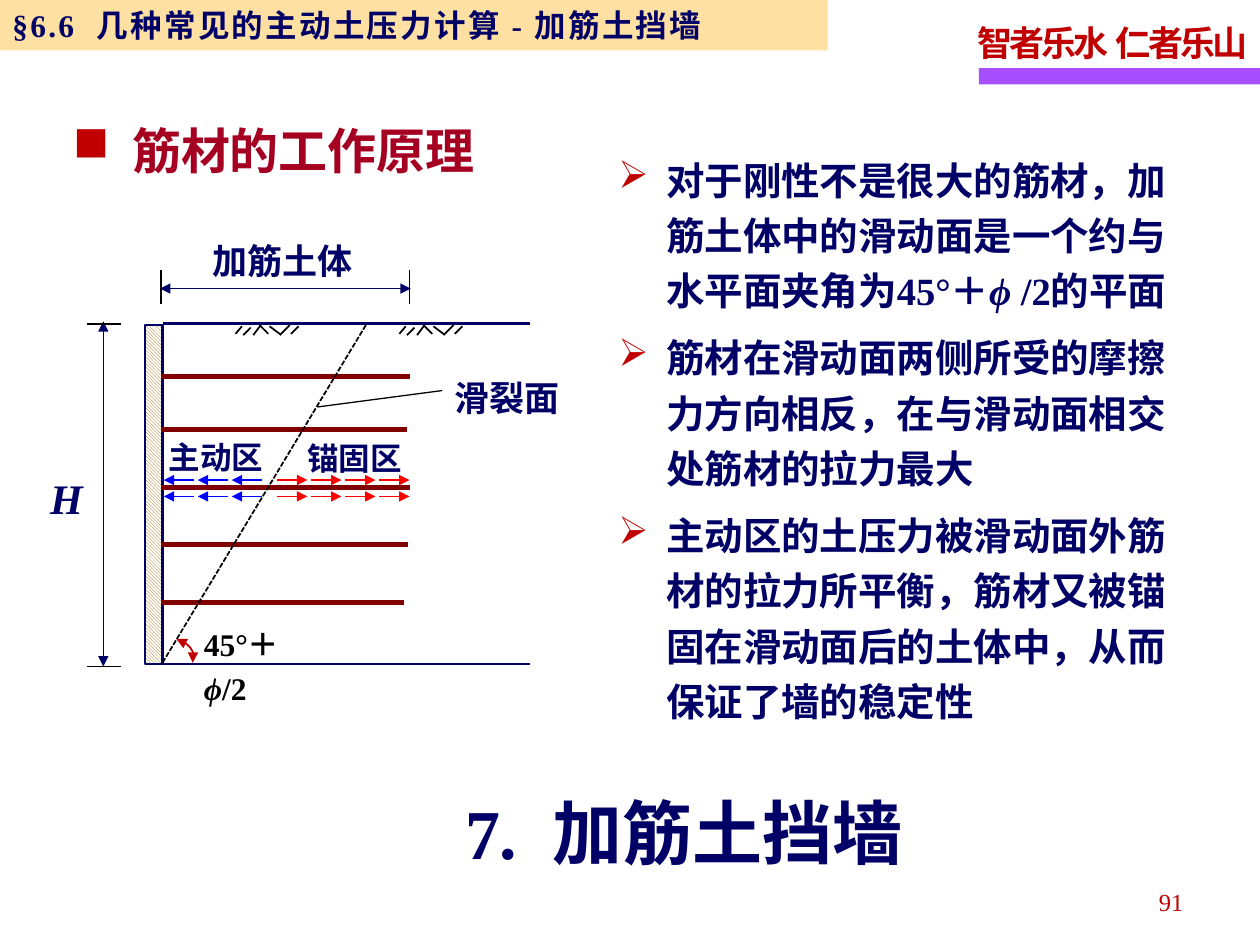
from lxml.etree import SubElement
from pptx import Presentation
from pptx.dml.color import RGBColor
from pptx.enum.dml import MSO_LINE, MSO_PATTERN
from pptx.enum.shapes import MSO_CONNECTOR, MSO_SHAPE
from pptx.enum.text import MSO_ANCHOR, PP_ALIGN
from pptx.oxml.ns import qn
from pptx.util import Inches, Pt

NAVY = RGBColor(0, 0, 0x66)
RED = RGBColor(0xC0, 0, 0)
CRIMSON = RGBColor(0xA5, 0, 0x21)
MAROON = RGBColor(0x80, 0, 0)
BLACK = RGBColor(0, 0, 0)
WHITE = RGBColor(0xFF, 0xFF, 0xFF)
BLUE = RGBColor(0, 0, 0xFF)
BRIGHT = RGBColor(0xFF, 0, 0)
PURPLE = RGBColor(0xA7, 0x4F, 0xFF)
SAND = RGBColor(0xFF, 0xCC, 0x66)
BROWN = RGBColor(0x99, 0x66, 0)
SERIF, SANS = "Times New Roman", "Noto Sans CJK SC"


def write(para, runs, size, color, face=SERIF, bold=True, gap=0):
    """Add (text, italic) runs; gap is the letter spacing in points."""
    for text, slant in runs:
        run = para.add_run()
        run.text = text
        style = {"size": Pt(size), "name": face, "bold": bold, "italic": slant}
        for key, value in style.items():
            setattr(run.font, key, value)
        run.font.color.rgb = color
        props = run.font._element
        SubElement(props, qn("a:ea")).set("typeface", SANS)
        if gap:
            props.set("spc", str(round(gap * 100)))


def bullet(para, mark, indent):
    props = para._p.get_or_add_pPr()
    props.set("marL", str(Inches(indent)))
    props.set("indent", str(-Inches(indent)))
    tint = SubElement(props, qn("a:buClr"))
    SubElement(tint, qn("a:srgbClr")).set("val", str(RED))
    SubElement(props, qn("a:buChar")).set("char", mark)


def label(slide, box, runs, size, color, wrap=True, mark=None, indent=0,
          form=None, **style):
    """Add a text box with one paragraph; a plain string makes one run."""
    frame = slide.shapes.add_textbox(*map(Inches, box)).text_frame
    frame.word_wrap = wrap
    para = frame.paragraphs[0]
    if mark:
        bullet(para, mark, indent)
    for key, value in ({"line_spacing": 1.15} | (form or {})).items():
        setattr(para, key, value)
    write(para, [(runs, False)] if isinstance(runs, str) else runs,
          size, color, **style)
    return frame


def rect(slide, box):
    shape = slide.shapes.add_shape(MSO_SHAPE.RECTANGLE, *map(Inches, box))
    shape.shadow.inherit = False
    shape.line.fill.background()
    return shape


def paint(shape, color, width, ends=()):
    """Set the outline, with arrowheads at the ends named."""
    shape.line.color.rgb = color
    shape.line.width = Pt(width)
    for end in ends:
        SubElement(shape.line._get_or_add_ln(), qn("a:" + end)).set("type", "triangle")


def line(slide, org, start, stop, color=BLACK, width=1, ends=(), dash=None):
    """Draw a line between two points measured from org."""
    spots = [Inches(a + b) for pt in (start, stop) for a, b in zip(org, pt)]
    link = slide.shapes.add_connector(MSO_CONNECTOR.STRAIGHT, *spots)
    if dash:
        link.line.dash_style = dash
    paint(link, color, width, ends)
    SubElement(link._element.spPr, qn("a:effectLst"))


def header(slide, box):
    x, y, w, h = box
    band = rect(slide, (x, y, 6.57, h))
    band.fill.solid()
    band.fill.fore_color.rgb = SAND
    tint = band._element.spPr.find(qn("a:solidFill"))[0]
    SubElement(tint, qn("a:alpha")).set("val", "60000")
    frame = band.text_frame
    frame.vertical_anchor = MSO_ANCHOR.MIDDLE
    frame.paragraphs[0].alignment = PP_ALIGN.LEFT
    write(frame.paragraphs[0], [("§6.6  几种常见的主动土压力计算 - 加筋土挡墙", False)],
          18, NAVY, gap=1.3)
    bar = rect(slide, (x + w - 2.23, y + 0.54, 2.23, 0.13))
    bar.fill.solid()
    bar.fill.fore_color.rgb = PURPLE
    label(slide, (x + w - 2.34, y + 0.07, 2.36, 0.49), "智者乐水  仁者乐山",
          20, RED, wrap=False, gap=-1.7)


def wall(slide, org):
    """Draw the facing, the ground lines and the slip plane."""
    x, y = org
    face = rect(slide, (x - 0.13, y + 0.01, 0.14, 2.69))
    face.fill.patterned()
    face.fill.pattern = MSO_PATTERN.LIGHT_DOWNWARD_DIAGONAL
    face.fill.fore_color.rgb = BROWN
    face.fill.back_color.rgb = WHITE
    paint(face, NAVY, 1.5)
    line(slide, org, (0.01, 0), (2.93, 0), NAVY, 1.5)
    line(slide, org, (-0.08, 2.7), (2.93, 2.7), NAVY, 1.5)
    for top, end in ((0.42, 1.97), (0.84, 1.95), (1.3, 1.97), (1.75, 1.96), (2.21, 1.93)):
        line(slide, org, (0, top), (end, top), MAROON, 3)
    line(slide, org, (0.01, 2.69), (1.63, 0), dash=MSO_LINE.SQUARE_DOT)


def ground(slide, org):
    """Draw one group of soil hatch strokes."""
    strokes = ((0.05, 0.01, 0, 0.07), (0.12, 0.02, 0.06, 0.08), (0.2, 0, 0.14, 0.08),
               (0.19, 0, 0.26, 0.07), (0.27, 0.01, 0.35, 0.07),
               (0.35, 0.08, 0.43, 0), (0.44, 0.07, 0.5, 0.01))
    for a, b, c, d in strokes:
        line(slide, org, (a, b), (c, d))


def forces(slide, org):
    """Draw friction arrows above and below the middle bar."""
    pitch, size = 0.27, 0.24
    for row in (1.24, 1.37):
        for i in range(4):
            left = 0.92 + i * pitch
            line(slide, org, (left, row), (left + size, row), BRIGHT, ends=["tailEnd"])
        for i in range(3):
            left = 0.02 + i * pitch
            line(slide, org, (left + size, row), (left, row), BLUE, ends=["tailEnd"])


def sizes(slide, org):
    """Draw the height and width dimension lines."""
    both = ["headEnd", "tailEnd"]
    line(slide, org, (-0.46, -0.02), (-0.46, 2.72), NAVY, 0.75, both)
    line(slide, org, (-0.01, -0.28), (1.98, -0.28), NAVY, 0.75, both)
    for y in (0, 2.72):
        line(slide, org, (-0.59, y), (-0.32, y))
    for x in (0, 1.97):
        line(slide, org, (x, -0.16), (x, -0.43))


def angle(slide, org):
    """Draw the arc of the slip angle and its value."""
    x, y = org
    arc = [(0.25, 2.69), (0.26, 2.65), (0.25, 2.6), (0.23, 2.57), (0.2, 2.54), (0.12, 2.5)]
    spots = [(Inches(x + a), Inches(y + b)) for a, b in arc]
    pen = slide.shapes.build_freeform(*spots[0])
    pen.add_line_segments(spots[1:], close=False)
    curve = pen.convert_to_shape()
    curve.shadow.inherit = False
    curve.fill.background()
    paint(curve, RED, 1, ["headEnd", "tailEnd"])
    label(slide, (x + 0.24, y + 2.3, 1, 0.45),
          [("45°＋", False), ("ϕ", True), ("/2", False)], 18, BLACK)


def diagram(slide, org):
    """Draw the wall section; org is the top of the wall's inner face."""
    x, y = org
    wall(slide, org)
    angle(slide, org)
    forces(slide, org)
    sizes(slide, org)
    for left in (0.59, 1.89):
        ground(slide, (x + left, y + 0.01))
    line(slide, org, (1.24, 0.66), (2.23, 0.53), width=0.75)
    label(slide, (x - 0.98, y + 1.07, 0.51, 0.57), [("H", True)], 24, NAVY)
    for text, a, b, w, size in (("滑裂面", 2.23, 0.32, 1.14, 20),
                                ("加筋土体", 0.31, -0.77, 1.38, 20),
                                ("主动区", -0.04, 0.81, 0.98, 18),
                                ("锚固区", 1.06, 0.82, 0.98, 18)):
        label(slide, (x + a, y + b, w, 0.45), text, size, NAVY, face=SANS)


def points(slide, box):
    frame = slide.shapes.add_textbox(*map(Inches, box)).text_frame
    frame.word_wrap = True
    items = (
        [("对于刚性不是很大的筋材，加筋土体中的滑动面是一个约与水平面夹角为45°＋", False),
         ("ϕ ", True), ("/2的平面", False)],
        [("筋材在滑动面两侧所受的摩擦力方向相反，在与滑动面相交处筋材的拉力最大", False)],
        [("主动区的土压力被滑动面外筋材的拉力所平衡，筋材又被锚固在滑动面后的土体中，"
          "从而保证了墙的稳定性", False)],
    )
    for i, runs in enumerate(items):
        para = frame.add_paragraph() if i else frame.paragraphs[0]
        bullet(para, "➢", 0.38)
        form = {"line_spacing": 1.2, "space_before": Pt(3.3 if i else 0),
                "space_after": Pt(3.3)}
        for key, value in form.items():
            setattr(para, key, value)
        write(para, runs, 22, NAVY)


def main():
    deck = Presentation()
    deck.slide_width, deck.slide_height = Inches(10), Inches(7.5)
    slide = deck.slides.add_slide(deck.slide_layouts[6])
    header(slide, (0, 0, 10, 0.4))
    label(slide, (0.48, 0.67, 4.05, 0.69), "筋材的工作原理", 28, CRIMSON, mark="■",
          indent=0.47, form={"line_spacing": 1.5}, face=SANS)
    diagram(slide, (1.28, 2.57))
    points(slide, (4.81, 1.12, 4.76, 4.77))
    label(slide, (1.89, 6.22, 7.07, 0.77), "7.  加筋土挡墙", 40, NAVY,
          form={"alignment": PP_ALIGN.CENTER, "line_spacing": 1.0})
    label(slide, (7.16, 6.96, 2.33, 0.4), "91", 14, RED,
          form={"alignment": PP_ALIGN.RIGHT}, bold=False)
    deck.save("out.pptx")


if __name__ == "__main__":
    main()
